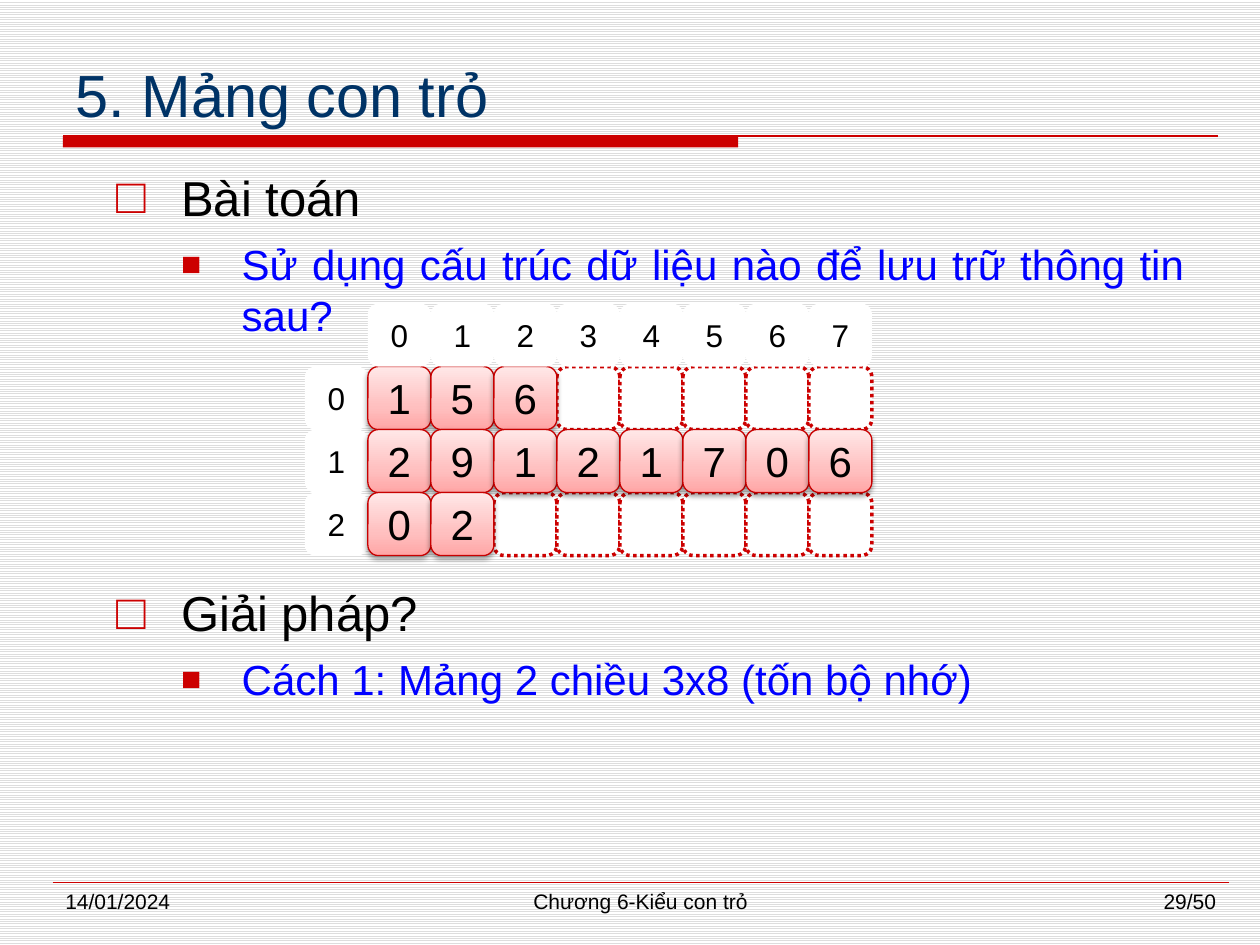
from dataclasses import dataclass

from lxml import etree
from pptx import Presentation
from pptx.dml.color import RGBColor
from pptx.enum.dml import MSO_LINE, MSO_PATTERN
from pptx.enum.shapes import MSO_CONNECTOR, MSO_SHAPE
from pptx.enum.text import MSO_ANCHOR, PP_ALIGN
from pptx.oxml.ns import qn
from pptx.util import Inches, Pt

ROUND_RECT, RECT = MSO_SHAPE.ROUNDED_RECTANGLE, MSO_SHAPE.RECTANGLE
STRAIGHT = MSO_CONNECTOR.STRAIGHT
LEFT, CENTER, RIGHT, JUSTIFY = (
    PP_ALIGN.LEFT, PP_ALIGN.CENTER, PP_ALIGN.RIGHT, PP_ALIGN.JUSTIFY)
TOP, MIDDLE, BOTTOM = MSO_ANCHOR.TOP, MSO_ANCHOR.MIDDLE, MSO_ANCHOR.BOTTOM
DOTTED = MSO_LINE.ROUND_DOT

FONT = "Arial"
COLORS = {"title": "003366", "text": "000000", "detail": "0000FF",
          "accent": "CC0000", "border": "C80000", "white": "FFFFFF",
          "stripe": "DDDDDD"}
GRADIENT = ((0, "FFA5A5"), (35, "FFBFBF"), (100, "FFE7E7"))

CELL, GRID_LEFT, GRID_TOP, COLUMNS = 0.5, 2.92, 2.91, 8
ROWS = ("156", "29121706", "02")


@dataclass
class Level:
    size: int
    color: str
    bullet: str
    bullet_size: int
    margin: float
    hanging: float


@dataclass
class Item:
    text: str
    level: int
    space_before: int


@dataclass
class Footer:
    text: str
    left: float
    width: float
    align: PP_ALIGN


LEVELS = (Level(28, "text", "□", 100, 0.51, 0.51),
          Level(24, "detail", "■", 80, 0.99, 0.48))
ITEMS = (
    Item("Bài toán", 0, 0),
    Item("Sử dụng cấu trúc dữ liệu nào để lưu trữ thông tin sau?", 1, 7),
    Item("Giải pháp?", 0, 139),  # leaves room for the grid
    Item("Cách 1: Mảng 2 chiều 3x8 (tốn bộ nhớ)", 1, 7),
)
FOOTERS = (Footer("14/01/2024", 0.42, 2.17, LEFT),
           Footer("Chương 6-Kiểu con trỏ", 2.92, 4.33, CENTER),
           Footer("29/50", 7.58, 2.17, RIGHT))


def rgb(name: str) -> RGBColor:
    return RGBColor.from_string(COLORS[name])


def write(p, text: str, size: int, color: str, align=LEFT) -> None:
    p.alignment = align
    r = p.add_run()
    r.text = text
    for name, value in {"name": FONT, "size": Pt(size)}.items():
        setattr(r.font, name, value)
    r.font.color.rgb = rgb(color)


def add_rule(slide, x1: float, x2: float, y: float, width: float) -> None:
    line = slide.shapes.add_connector(
        STRAIGHT, Inches(x1), Inches(y), Inches(x2), Inches(y))
    line.line.color.rgb = rgb("accent")
    line.line.width = Pt(width)
    etree.SubElement(line._element.spPr, qn("a:effectLst"))


def add_bullet(p, level: Level) -> None:
    pPr = p._p.get_or_add_pPr()
    pPr.set("marL", str(Inches(level.margin)))
    pPr.set("indent", str(-Inches(level.hanging)))
    color = etree.SubElement(pPr, qn("a:buClr"))
    etree.SubElement(color, qn("a:srgbClr"), val=COLORS["accent"])
    etree.SubElement(pPr, qn("a:buSzPct"), val=str(level.bullet_size * 1000))
    etree.SubElement(pPr, qn("a:buFont"), typeface=FONT)
    etree.SubElement(pPr, qn("a:buChar"), char=level.bullet)


def add_body(slide) -> None:
    box = slide.shapes.add_textbox(
        Inches(0.83), Inches(1.25), Inches(8.67), Inches(5.67))
    tf = box.text_frame
    tf.word_wrap, tf.margin_top = True, Inches(0.08)
    for i, item in enumerate(ITEMS):
        p = tf.add_paragraph() if i else tf.paragraphs[0]
        level = LEVELS[item.level]
        p.level = item.level
        p.space_before = Pt(item.space_before)
        add_bullet(p, level)
        write(p, item.text, level.size, level.color, JUSTIFY)


def add_cell(slide, row: int, col: int, text: str = "", size: int = 18):
    """Add a white cell; row -1 and column -1 hold the indexes."""
    sp = slide.shapes.add_shape(
        ROUND_RECT, Inches(GRID_LEFT + col * CELL),
        Inches(GRID_TOP + row * CELL), Inches(CELL), Inches(CELL))
    sp.shadow.inherit = False
    sp.fill.solid()
    sp.fill.fore_color.rgb = rgb("white")
    sp.line.fill.background()
    if text:
        tf = sp.text_frame
        tf.word_wrap, tf.vertical_anchor = False, MIDDLE
        write(tf.paragraphs[0], text, size, "text", CENTER)
    return sp


def add_empty_cell(slide, row: int, col: int) -> None:
    sp = add_cell(slide, row, col)
    sp.line.color.rgb = rgb("accent")
    sp.line.width, sp.line.dash_style = Pt(2), DOTTED


def add_value_cell(slide, row: int, col: int, text: str) -> None:
    sp = add_cell(slide, row, col, text, 24)
    sp.line.color.rgb = rgb("border")
    sp.line.width = Pt(0.75)
    sp.fill.gradient()
    sp.fill.gradient_angle = 90
    spPr = sp._element.spPr
    stops = spPr.find(".//" + qn("a:gsLst"))
    for stop in list(stops):
        stops.remove(stop)
    for position, color in GRADIENT:
        stop = etree.SubElement(stops, qn("a:gs"), pos=str(position * 1000))
        etree.SubElement(stop, qn("a:srgbClr"), val=color)
    shadow = etree.SubElement(
        spPr.find(qn("a:effectLst")), qn("a:outerShdw"), blurRad=str(Pt(3.1)),
        dist=str(Pt(1.6)), dir="5400000", rotWithShape="0")
    color = etree.SubElement(shadow, qn("a:srgbClr"), val=COLORS["text"])
    etree.SubElement(color, qn("a:alpha"), val="38000")


def add_grid(slide) -> None:
    for row, values in enumerate(ROWS):
        for col in range(len(values), COLUMNS):
            add_empty_cell(slide, row, col)
    for row in range(len(ROWS)):
        add_cell(slide, row, -1, str(row))
    for row, values in enumerate(ROWS):
        for col, value in enumerate(values):
            add_value_cell(slide, row, col, value)
    for col in range(COLUMNS):
        add_cell(slide, -1, col, str(col))


def add_title(slide) -> None:
    title = slide.shapes.title
    frame = {"left": 0.5, "top": 0.33, "width": 9.17, "height": 0.75}
    for name, value in frame.items():
        setattr(title, name, Inches(value))
    title.text_frame.vertical_anchor = BOTTOM
    write(title.text_frame.paragraphs[0], "5. Mảng con trỏ", 34, "title")


def add_title_bar(slide) -> None:
    bar = slide.shapes.add_shape(
        RECT, Inches(0.5), Inches(1.08), Inches(5.36), Inches(0.09))
    bar.shadow.inherit = False
    bar.fill.solid()
    bar.fill.fore_color.rgb = rgb("accent")
    bar.line.fill.background()
    add_rule(slide, 0.5, 9.67, 1.08, 1.5)


def add_footer(slide, footer: Footer) -> None:
    box = slide.shapes.add_textbox(
        Inches(footer.left), Inches(7), Inches(footer.width), Inches(0.35))
    tf = box.text_frame
    tf.word_wrap, tf.vertical_anchor = True, TOP
    write(tf.paragraphs[0], footer.text, 12, "text", footer.align)


def main() -> None:
    prs = Presentation()
    prs.slide_width, prs.slide_height = Inches(10), Inches(7.5)
    slide = prs.slides.add_slide(prs.slide_layouts[5])
    fill = slide.background.fill
    fill.patterned()
    fill.pattern = MSO_PATTERN.LIGHT_HORIZONTAL
    fill.fore_color.rgb, fill.back_color.rgb = rgb("stripe"), rgb("white")
    add_title_bar(slide)
    add_rule(slide, 0.42, 9.75, 7, 0.25)
    add_title(slide)
    add_body(slide)
    add_grid(slide)
    for footer in FOOTERS:
        add_footer(slide, footer)
    prs.save("out.pptx")


if __name__ == "__main__":
    main()
